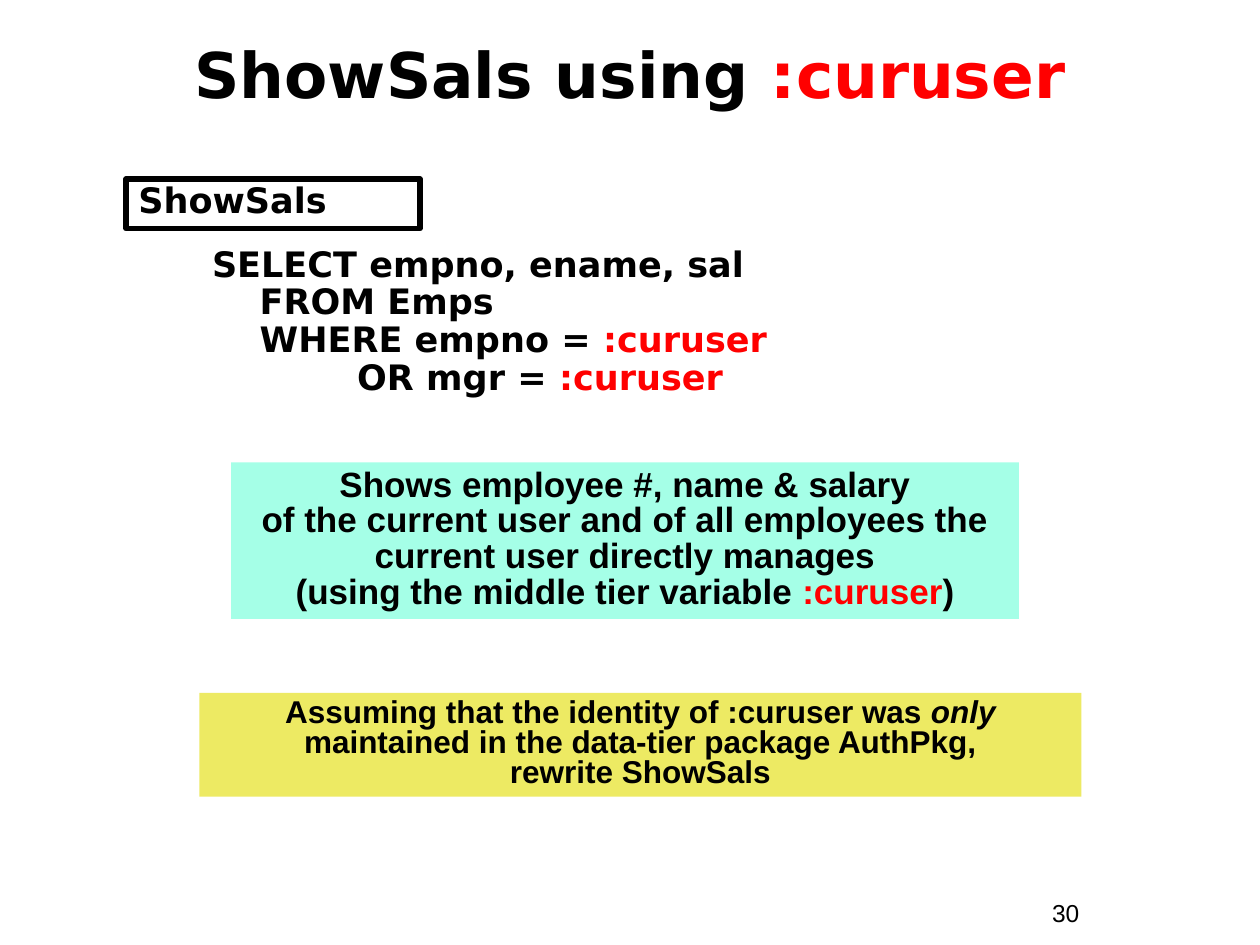
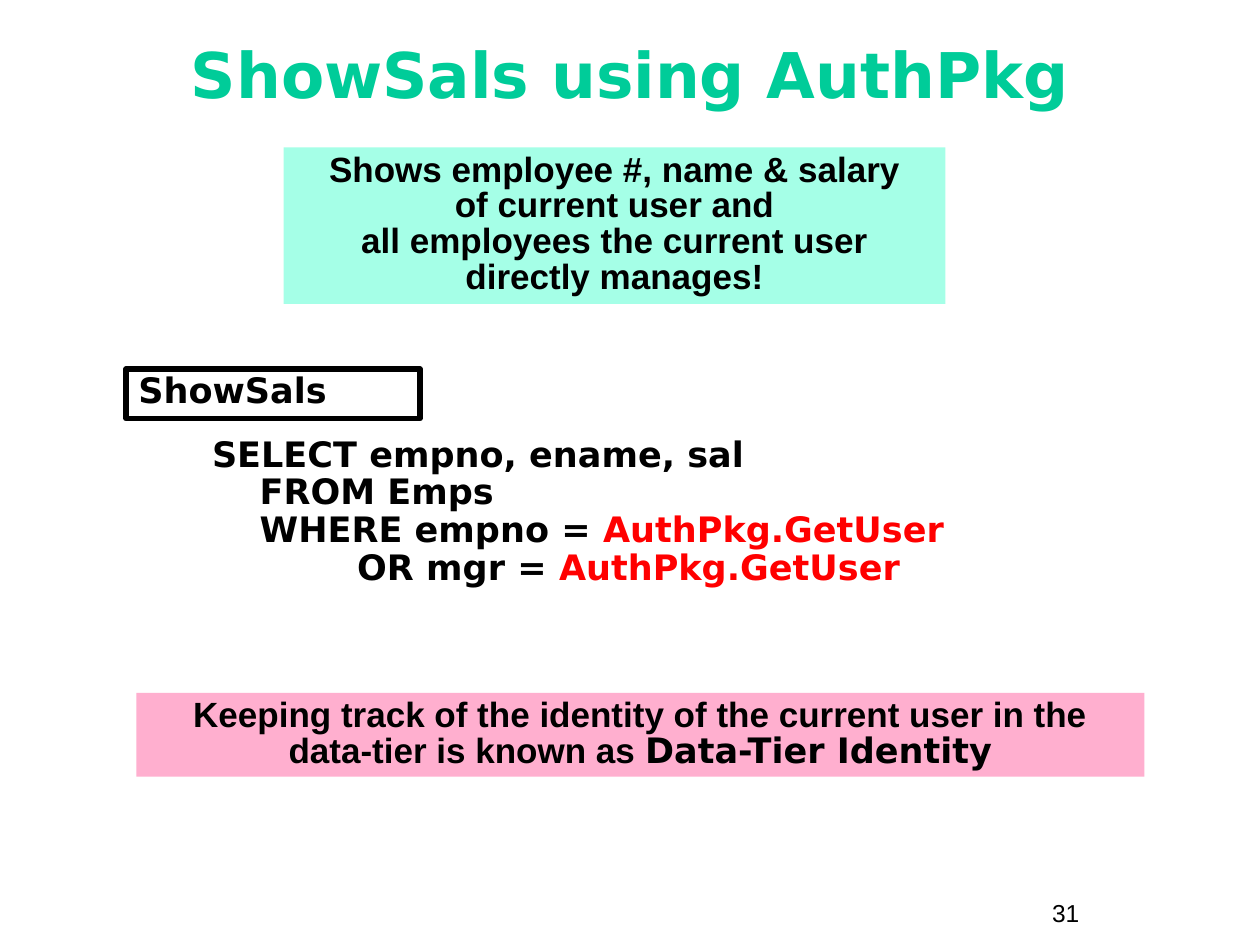
from dataclasses import dataclass

from lxml.etree import SubElement
from pptx import Presentation
from pptx.dml.color import RGBColor
from pptx.enum.shapes import MSO_SHAPE
from pptx.enum.text import MSO_ANCHOR, MSO_AUTO_SIZE, PP_ALIGN
from pptx.oxml.ns import qn
from pptx.util import Cm, Pt


@dataclass(frozen=True)
class Theme:
    black: str = "000000"
    red: str = "FF0000"
    green: str = "00CC99"
    mint: str = "A5FFE7"
    yellow: str = "EDEA63"
    pink: str = "FFAFCF"
    display: str = "DejaVu Sans"
    text: str = "Arial"
    title_size: int = 36
    body_size: int = 20
    task_size: int = 18
    number_size: int = 14


THEME = Theme()

# Spans are (text, style); a style is "", "red", "italic" or "display".
# Places are left, top, width, height in centimetres.
TITLE_PLACE = (0.85, 0.42, 23.7, 2.12)
NUMBER_PLACE = (20.96, 17.98, 2.33, 0.86)
LABEL_LEFT, LABEL_WIDTH, LABEL_HEIGHT = 2.54, 5.93, 1
CODE_LEFT, CODE_WIDTH, CODE_HEIGHT = 4.02, 18.62, 3.6
LABEL_TO_CODE = 1.24
CODE_INDENT = Cm(0.96)

SLIDES = [
    {
        "number": 30,
        "title": [("ShowSals using ", ""), (":curuser", "red")],
        "title_color": THEME.black,
        "user": ":curuser",
        "listing_top": 3.61,
        "notes": [
            {
                "place": (4.66, 9.32, 15.88, 3.16),
                "fill": THEME.mint,
                "spans": [
                    ("Shows employee #, name & salary\n"
                     "of the current user and of all employees the current user directly manages\n"
                     "(using the middle tier variable ", ""),
                    (":curuser", "red"),
                    (")", ""),
                ],
            },
            {
                "place": (4.02, 13.97, 17.78, 2.09),
                "fill": THEME.yellow,
                "size": THEME.task_size,
                "spacing": 0.8,
                "spans": [
                    ("Assuming that the identity of :curuser was ", ""),
                    ("only", "italic"),
                    ("\nmaintained in the data-tier package AuthPkg,\nrewrite ShowSals", ""),
                ],
            },
        ],
    },
    {
        "number": 31,
        "title": [("ShowSals using AuthPkg", "")],
        "title_color": THEME.green,
        "user": "AuthPkg.GetUser",
        "listing_top": 7.44,
        "notes": [
            {
                "place": (5.72, 2.97, 13.34, 3.16),
                "fill": THEME.mint,
                "spans": [
                    ("Shows employee #, name & salary\nof current user and\n"
                     "all employees the current user directly manages!", ""),
                ],
            },
            {
                "place": (2.75, 13.97, 20.32, 1.69),
                "fill": THEME.pink,
                "spans": [
                    ("Keeping track of the identity of the current user in the "
                     "data-tier is known as ", ""),
                    ("Data-Tier Identity", "display"),
                ],
            },
        ],
    },
]


def color(value):
    return RGBColor.from_string(value)


def put(box, place):
    box.left, box.top, box.width, box.height = (Cm(length) for length in place)


def add_span(para, text, style):
    """Add one styled span, turning newlines into line breaks."""
    for index, line in enumerate(text.split("\n")):
        if index:
            para.add_line_break()
        if not line:
            continue
        span = para.add_run()
        span.text = line
        if style == "red":
            span.font.color.rgb = color(THEME.red)
        elif style == "italic":
            span.font.italic = True
        elif style == "display":
            span.font.name = THEME.display


def write(box, spans, font, size, ink=THEME.black, bold=True, align=PP_ALIGN.LEFT,
          spacing=1.0, anchor=MSO_ANCHOR.TOP):
    frame = box.text_frame
    frame.word_wrap = True
    frame.auto_size = MSO_AUTO_SIZE.NONE
    frame.vertical_anchor = anchor
    para = frame.paragraphs[0]
    para.alignment = align
    para.line_spacing = spacing
    para.space_before = Pt(0)
    para.font.name = font
    para.font.size = Pt(size)
    para.font.bold = bold
    para.font.color.rgb = color(ink)
    for text, style in spans:
        add_span(para, text, style)


def add_box(page, place, fill=None):
    """Add a filled rectangle, or an outlined one when there is no fill."""
    box = page.shapes.add_shape(MSO_SHAPE.RECTANGLE, *(Cm(length) for length in place))
    box.shadow.inherit = False
    if fill:
        box.fill.solid()
        box.fill.fore_color.rgb = color(fill)
        box.line.fill.background()
    else:
        box.fill.background()
        box.line.color.rgb = color(THEME.black)
        box.line.width = Pt(3)
    return box


def add_listing(page, top, user):
    """Write the query into the body placeholder, below its name box."""
    body = page.placeholders[1]
    put(body, (CODE_LEFT, top + LABEL_TO_CODE, CODE_WIDTH, CODE_HEIGHT))
    properties = body.text_frame.paragraphs[0]._p.get_or_add_pPr()
    properties.set("marL", str(CODE_INDENT))
    properties.set("indent", str(-CODE_INDENT))
    SubElement(properties, qn("a:buNone"))
    query = [
        ("SELECT empno, ename, sal\nFROM Emps\nWHERE empno = ", ""),
        (user, "red"),
        ("\n        OR mgr = ", ""),
        (user, "red"),
    ]
    write(body, query, THEME.display, THEME.body_size, spacing=0.9)

    label = add_box(page, (LABEL_LEFT, top, LABEL_WIDTH, LABEL_HEIGHT))
    write(label, [("ShowSals", "")], THEME.display, THEME.body_size, spacing=0.85)


def add_page(deck, content):
    page = deck.slides.add_slide(deck.slide_layouts[1])
    title = page.shapes.title
    put(title, TITLE_PLACE)
    write(title, content["title"], THEME.display, THEME.title_size,
          ink=content["title_color"], align=PP_ALIGN.CENTER, anchor=MSO_ANCHOR.MIDDLE)

    add_listing(page, content["listing_top"], content["user"])

    for note in content["notes"]:
        box = add_box(page, note["place"], note["fill"])
        write(box, note["spans"], THEME.text, note.get("size", THEME.body_size),
              align=PP_ALIGN.CENTER, spacing=note.get("spacing", 0.85))

    number = page.shapes.add_textbox(*(Cm(length) for length in NUMBER_PLACE))
    write(number, [(str(content["number"]), "")], THEME.text, THEME.number_size, bold=False)


def main():
    deck = Presentation()
    deck.slide_width, deck.slide_height = Cm(25.4), Cm(19.05)
    for content in SLIDES:
        add_page(deck, content)
    deck.save("out.pptx")


if __name__ == "__main__":
    main()
